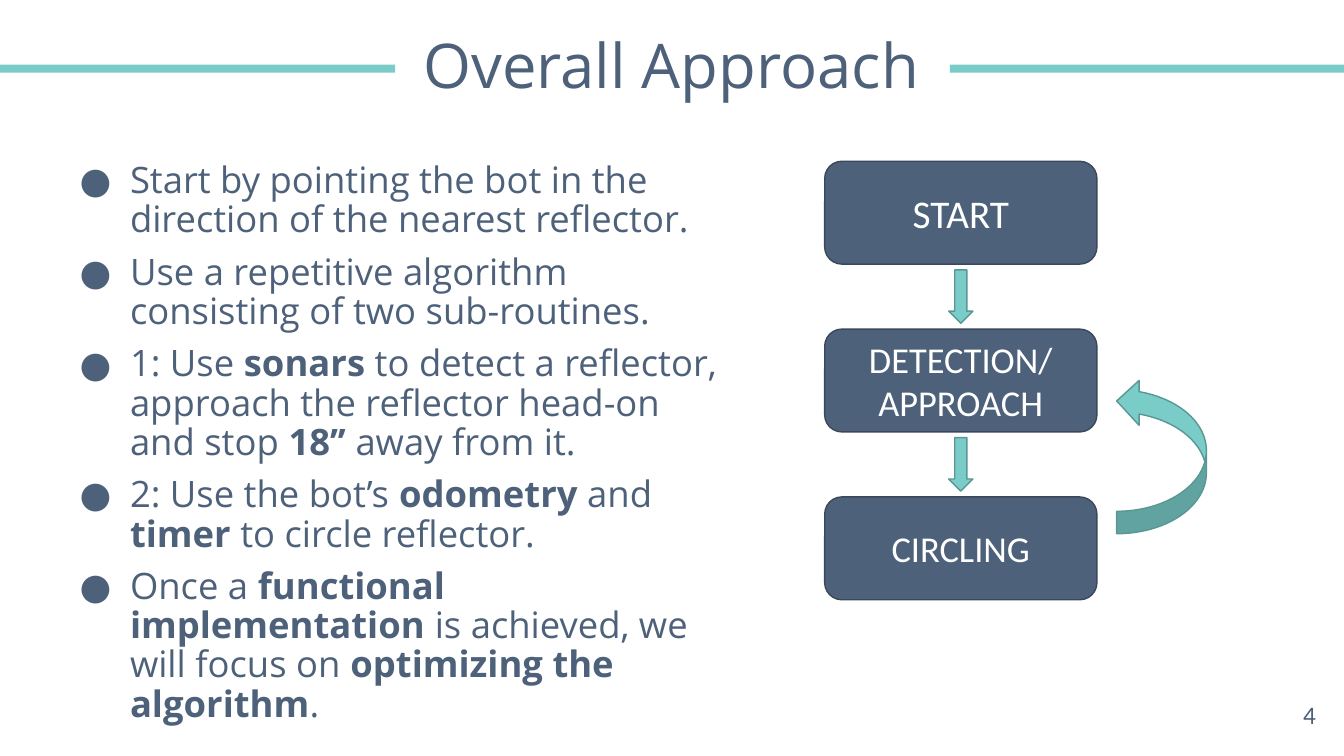
from dataclasses import dataclass

from lxml import etree
from pptx import Presentation, util as u
from pptx.dml.color import RGBColor
from pptx.enum import shapes, text
from pptx.oxml import ns


@dataclass(frozen=True)
class Theme:
    navy: str = "4E617A"
    navy_line: str = "3A485A"
    teal: str = "7ACCC8"
    teal_line: str = "5A9794"
    white: str = "FFFFFF"
    heading_font: str = "Open Sans"
    label_font: str = "Calibri"
    title_size: int = 44
    start_size: int = 28
    body_size: int = 26
    number_size: int = 18


THEME = Theme()
KINDS = shapes.MSO_SHAPE

POINTS = [
    "Start by pointing the bot in the direction of the nearest reflector.",
    "Use a repetitive algorithm consisting of two sub-routines.",
    "1: Use **sonars** to detect a reflector, approach the reflector head-on and stop **18’’ **away from it.",
    "2: Use the bot’s **odometry** and **timer** to circle reflector.",
    "Once a **functional implementation **is achieved, we will focus on **optimizing the algorithm**.",
]

STEPS = [
    ("START", THEME.start_size),
    ("DETECTION/\nAPPROACH", THEME.body_size),
    ("CIRCLING", THEME.body_size),
]


def add_bullet(paragraph, indent):
    properties = paragraph._p.get_or_add_pPr()
    properties.set("marL", str(indent))
    properties.set("indent", str(-indent))
    font = etree.SubElement(properties, ns.qn("a:buFont"))
    font.set("typeface", THEME.heading_font)
    bullet = etree.SubElement(properties, ns.qn("a:buChar"))
    bullet.set("char", "●")


def write_text(shape, lines, *, size, font, color=THEME.navy,
               align=text.PP_ALIGN.LEFT, anchor=text.MSO_ANCHOR.TOP,
               inset=0.1, spacing=1.0, gap=0, bullet_indent=None):
    frame = shape.text_frame
    frame.word_wrap = True
    frame.auto_size = text.MSO_AUTO_SIZE.NONE
    frame.vertical_anchor = anchor
    frame.margin_left = frame.margin_right = u.Inches(inset)
    frame.margin_top = frame.margin_bottom = u.Inches(inset)
    for index, line in enumerate(lines):
        paragraph = frame.add_paragraph() if index else frame.paragraphs[0]
        if bullet_indent:
            add_bullet(paragraph, u.Inches(bullet_indent))
        paragraph.alignment = align
        paragraph.line_spacing = spacing
        paragraph.space_before = u.Pt(gap if index else 0)
        for part, words in enumerate(line.split("**")):
            if not words:
                continue
            run = paragraph.add_run()
            run.text = words
            run.font.name = font
            run.font.size = u.Pt(size)
            run.font.bold = part % 2 == 1
            run.font.color.rgb = RGBColor.from_string(color)


def add_block(slide, kind, left, top, width, height, fill, line=None):
    shape = slide.shapes.add_shape(
        kind, u.Inches(left), u.Inches(top), u.Inches(width), u.Inches(height))
    shape.shadow.inherit = False
    shape.fill.solid()
    shape.fill.fore_color.rgb = RGBColor.from_string(fill)
    if line:
        shape.line.color.rgb = RGBColor.from_string(line)
        shape.line.width = u.Pt(1)
    else:
        shape.line.fill.background()
    return shape


def add_text(slide, left, top, width, height, lines, **style):
    box = slide.shapes.add_textbox(
        u.Inches(left), u.Inches(top), u.Inches(width), u.Inches(height))
    write_text(box, lines, **style)


def add_title(slide, words):
    title = slide.shapes.title
    title.left, title.top = u.Inches(0.45), u.Inches(0.26)
    title.width, title.height = u.Inches(12.42), u.Inches(0.84)
    write_text(title, [words], size=THEME.title_size, font=THEME.heading_font,
               align=text.PP_ALIGN.CENTER, inset=0.09, spacing=0.9)
    for left in (0, 9.42):
        add_block(slide, KINDS.RECTANGLE, left, 0.64, 3.92, 0.08, THEME.teal)


def add_flow(slide, left=8.18, top=1.6, width=2.7, height=1.02, pitch=1.665):
    arrow_width, arrow_height = 0.24, 0.53
    arrow_left = left + (width - arrow_width) / 2
    arrow_offset = (height + pitch - arrow_height) / 2
    for index, (label, size) in enumerate(STEPS):
        step_top = top + index * pitch
        step = add_block(slide, KINDS.FLOWCHART_ALTERNATE_PROCESS, left, step_top,
                         width, height, THEME.navy, THEME.navy_line)
        write_text(step, label.split("\n"), size=size, font=THEME.label_font,
                   color=THEME.white, align=text.PP_ALIGN.CENTER,
                   anchor=text.MSO_ANCHOR.MIDDLE, inset=0.05)
        if index < len(STEPS) - 1:
            add_block(slide, KINDS.DOWN_ARROW, arrow_left, step_top + arrow_offset,
                      arrow_width, arrow_height, THEME.teal, THEME.teal_line)
    loop = add_block(slide, KINDS.CURVED_UP_ARROW, 10.75, 4.08, 1.54, 0.89,
                     THEME.teal, THEME.teal_line)
    loop.rotation = 270


def main():
    presentation = Presentation()
    presentation.slide_width = u.Inches(13.33)
    presentation.slide_height = u.Inches(7.5)
    slide = presentation.slides.add_slide(presentation.slide_layouts[5])
    add_title(slide, "Overall Approach")
    add_text(slide, 0.66, 1.48, 6.73, 5.39, POINTS, size=THEME.body_size,
             font=THEME.heading_font, inset=0.13, spacing=0.9, gap=9.3,
             bullet_indent=0.5)
    add_flow(slide)
    add_text(slide, 12.35, 6.8, 0.8, 0.57, ["4"], size=THEME.number_size,
             font=THEME.label_font, align=text.PP_ALIGN.RIGHT,
             anchor=text.MSO_ANCHOR.MIDDLE)
    presentation.save("out.pptx")


if __name__ == "__main__":
    main()
